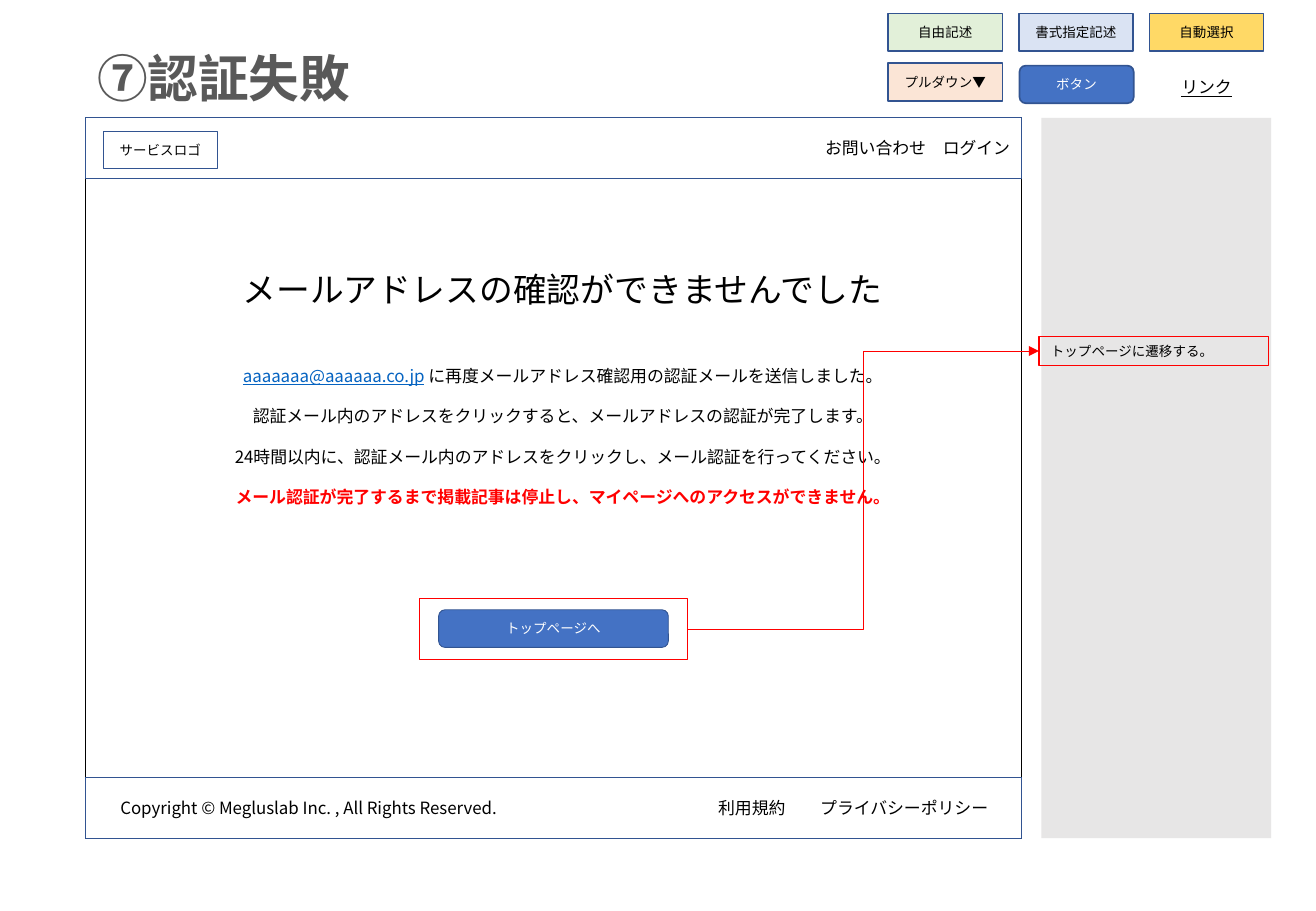
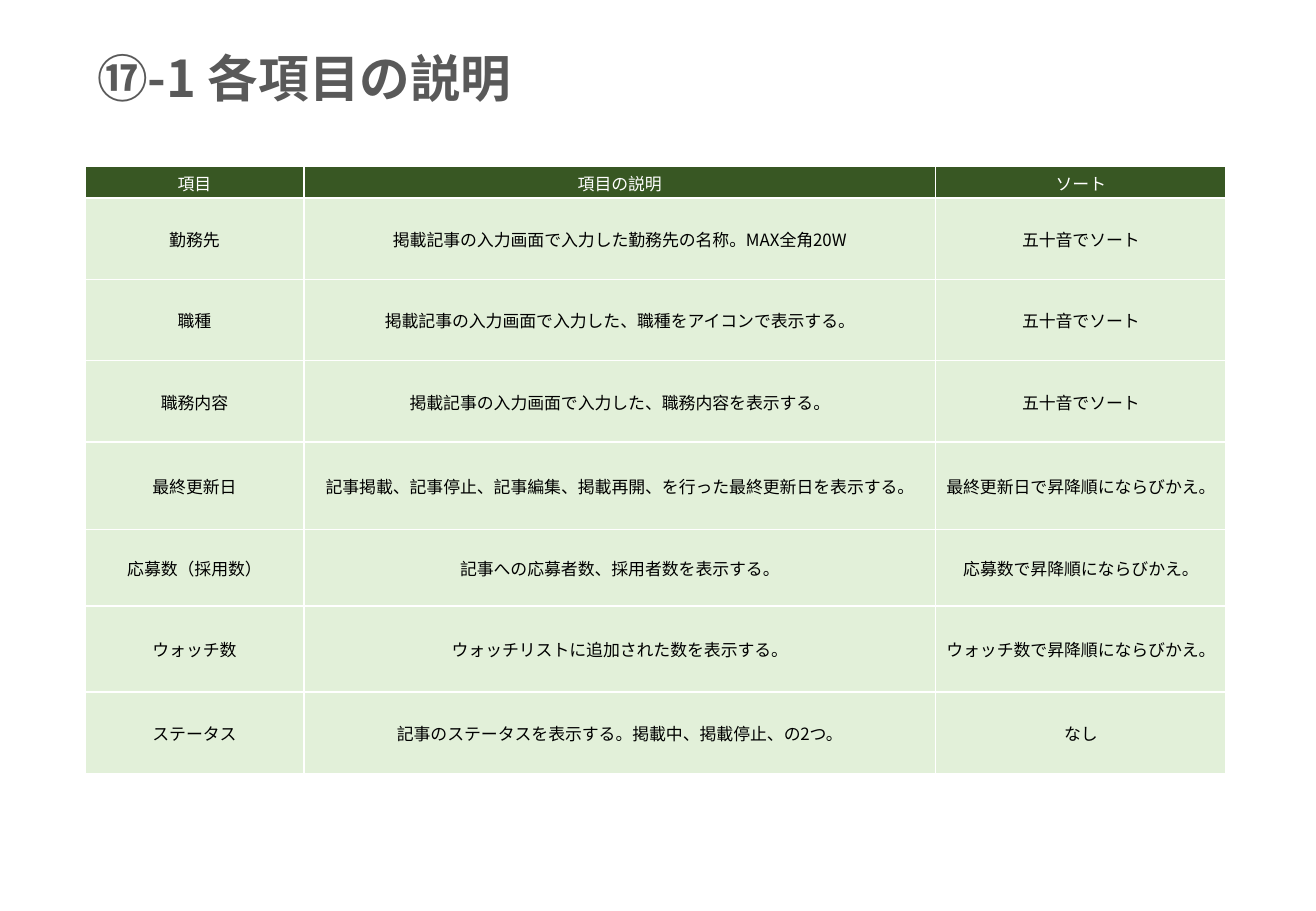
"""Builds two wireframe specification slides: a failed verification page and an item table."""
from lxml import etree
from pptx import Presentation
from pptx.dml.color import RGBColor
from pptx.enum.shapes import MSO_CONNECTOR, MSO_SHAPE
from pptx.enum.text import MSO_ANCHOR, PP_ALIGN
from pptx.oxml.ns import qn
from pptx.util import Inches, Pt

RECTANGLE, ROUNDED = MSO_SHAPE.RECTANGLE, MSO_SHAPE.ROUNDED_RECTANGLE
ELBOW = MSO_CONNECTOR.ELBOW
LEFT, CENTER, RIGHT = PP_ALIGN.LEFT, PP_ALIGN.CENTER, PP_ALIGN.RIGHT
TOP, MIDDLE = MSO_ANCHOR.TOP, MSO_ANCHOR.MIDDLE

BLACK = RGBColor(0x00, 0x00, 0x00)
WHITE = RGBColor(0xFF, 0xFF, 0xFF)
RED = RGBColor(0xFF, 0x00, 0x00)
TITLE_GRAY = RGBColor(0x59, 0x59, 0x59)
PANEL_GRAY = RGBColor(0xE7, 0xE6, 0xE6)
BLUE = RGBColor(0x44, 0x72, 0xC4)
BORDER_BLUE = RGBColor(0x32, 0x54, 0x91)
LINK_BLUE = RGBColor(0x05, 0x63, 0xC1)
PALE_BLUE = RGBColor(0xDA, 0xE3, 0xF3)
PALE_GREEN = RGBColor(0xE2, 0xF0, 0xD9)
DARK_GREEN = RGBColor(0x38, 0x57, 0x23)
PALE_ORANGE = RGBColor(0xFB, 0xE5, 0xD6)
YELLOW = RGBColor(0xFF, 0xD9, 0x66)

FONT = "Noto Sans CJK JP"
CELL = Inches(0.1)
SLIDE_COLUMNS, SLIDE_ROWS = 108.3, 75
PAGE_LEFT, PAGE_TOP, PAGE_WIDTH, PAGE_HEIGHT = 7, 9.7, 77.1, 59.3
BAR_HEIGHT = 5
KEY_WIDTH, KEY_HEIGHT = 9.4, 3.1
KEY_LEFT, KEY_TOP, KEY_STEP, KEY_ROW_STEP = 73.1, 1.1, 10.75, 4.1

KEYS = [
    ("自由記述", PALE_GREEN, 0, 0),
    ("書式指定記述", PALE_BLUE, 1, 0),
    ("自動選択", YELLOW, 2, 0),
    ("プルダウン▼", PALE_ORANGE, 0, 1),
]
MESSAGES = [
    "認証メール内のアドレスをクリックすると、メールアドレスの認証が完了します。",
    "24時間以内に、認証メール内のアドレスをクリックし、メール認証を行ってください。",
    "メール認証が完了するまで掲載記事は停止し、マイページへのアクセスができません。",
]
ITEM_COLUMNS = [18, 52, 23.9]
ITEM_ROWS = [2.6, 6.7, 6.7, 6.7, 7.2, 6.3, 7.1, 6.7]
ITEMS = [
    ("項目", "項目の説明", "ソート"),
    ("勤務先", "掲載記事の入力画面で入力した勤務先の名称。MAX全角20W", "五十音でソート"),
    ("職種", "掲載記事の入力画面で入力した、職種をアイコンで表示する。", "五十音でソート"),
    ("職務内容", "掲載記事の入力画面で入力した、職務内容を表示する。", "五十音でソート"),
    ("最終更新日", "記事掲載、記事停止、記事編集、掲載再開、を行った最終更新日を表示する。",
     "最終更新日で昇降順にならびかえ。"),
    ("応募数（採用数）", "記事への応募者数、採用者数を表示する。", "応募数で昇降順にならびかえ。"),
    ("ウォッチ数", "ウォッチリストに追加された数を表示する。", "ウォッチ数で昇降順にならびかえ。"),
    ("ステータス", "記事のステータスを表示する。掲載中、掲載停止、の2つ。", "なし"),
]


def grid(*lengths):
    """Turns grid columns or rows into slide lengths."""
    return [round(length * CELL) for length in lengths]


class Deck:
    """Holds the shared style and the current slide."""

    def __init__(self):
        """Starts an empty presentation."""
        self.presentation = Presentation()
        self.presentation.slide_width, self.presentation.slide_height = grid(SLIDE_COLUMNS, SLIDE_ROWS)
        self.slide = None

    def add_slide(self, title):
        """Adds a blank slide with the shared title."""
        self.slide = self.presentation.slides.add_slide(self.presentation.slide_layouts[6])
        self.text(title, (7, 3.6, 93.9, 6.1), 30, TITLE_GRAY, LEFT, bold=True, line_spacing=0.9)

    def style(self, paragraph, size, color, align=CENTER, bold=None, underline=None):
        """Sets alignment and font of a whole paragraph."""
        paragraph.alignment = align
        font = paragraph.font
        font.name, font.size, font.bold, font.underline = FONT, Pt(size), bold, underline
        font.color.rgb = color
        defaults = paragraph._p.get_or_add_pPr().find(qn("a:defRPr"))
        etree.SubElement(defaults, qn("a:ea")).set("typeface", FONT)

    def text(self, text, box, size, color=BLACK, align=CENTER, bold=None, underline=None, line_spacing=None):
        """Adds a one-line text box and returns its paragraph."""
        frame = self.slide.shapes.add_textbox(*grid(*box)).text_frame
        frame.word_wrap = True
        frame.vertical_anchor = MIDDLE
        paragraph = frame.paragraphs[0]
        paragraph.text = text
        paragraph.line_spacing = line_spacing
        self.style(paragraph, size, color, align, bold, underline)

    def messages(self, address, first, others, box):
        """Adds the message lines, led by an address and closed by a warning."""
        frame = self.slide.shapes.add_textbox(*grid(*box)).text_frame
        frame.word_wrap = True
        frame.vertical_anchor = TOP
        paragraph = frame.paragraphs[0]
        link = paragraph.add_run()
        link.text = address
        link.font.underline = True
        link.font.color.rgb = LINK_BLUE
        paragraph.add_run().text = first
        for message in others:
            paragraph = frame.add_paragraph()
            paragraph.text = message
            paragraph.space_before = Pt(12)
        for paragraph in frame.paragraphs:
            warning = paragraph.text == others[-1]
            paragraph.line_spacing = Pt(12)
            self.style(paragraph, 10, RED if warning else BLACK, bold=warning)

    def shape(self, box, text="", fill=None, line=None, weight=0.5, kind=RECTANGLE,
              size=8, color=BLACK, align=CENTER, inset=1, tabs=()):
        """Adds a preset shape with optional text and tab stops."""
        shape = self.slide.shapes.add_shape(kind, *grid(*box))
        shape.shadow.inherit = False
        if fill is None:
            shape.fill.background()
        else:
            shape.fill.solid()
            shape.fill.fore_color.rgb = fill
        if line is None:
            shape.line.fill.background()
        else:
            shape.line.color.rgb = line
            shape.line.width = Pt(weight)
        if text:
            frame = shape.text_frame
            frame.word_wrap = True
            frame.vertical_anchor = MIDDLE
            frame.margin_left = grid(inset)[0]
            paragraph = frame.paragraphs[0]
            paragraph.text = text
            if tabs:
                stops = etree.SubElement(paragraph._p.get_or_add_pPr(), qn("a:tabLst"))
                for position in grid(*tabs):
                    etree.SubElement(stops, qn("a:tab"), pos=str(position), algn="l")
            self.style(paragraph, size, color, align)
        return shape

    def button(self, text, box, weight):
        """Adds a rounded blue button."""
        self.shape(box, text, BLUE, BORDER_BLUE, weight, ROUNDED, color=WHITE)

    def arrow(self, source, target):
        """Joins the right side of one shape to the left side of another."""
        connector = self.slide.shapes.add_connector(ELBOW, 0, 0, 0, 0)
        connector.begin_connect(source, 3)
        connector.end_connect(target, 1)
        connector.line.color.rgb = RED
        connector.line.width = Pt(0.5)
        etree.SubElement(connector.line._get_or_add_ln(), qn("a:tailEnd"), type="triangle")
        etree.SubElement(connector._element.spPr, qn("a:effectLst"))

    def table(self, rows, left, top, widths, heights):
        """Adds a centred table with a dark heading row."""
        box = grid(left, top, sum(widths), sum(heights))
        table = self.slide.shapes.add_table(len(rows), len(widths), *box).table
        table.horz_banding = False
        for column, width in zip(table.columns, grid(*widths)):
            column.width = width
        for row, height, texts in zip(table.rows, grid(*heights), rows):
            row.height = height
            heading = texts == rows[0]
            for cell, text in zip(row.cells, texts):
                cell.margin_left = cell.margin_top = cell.margin_right = Inches(0.01)
                cell.margin_bottom = 0
                cell.vertical_anchor = MIDDLE
                self.borders(cell)
                cell.fill.solid()
                cell.fill.fore_color.rgb = DARK_GREEN if heading else PALE_GREEN
                paragraph = cell.text_frame.paragraphs[0]
                paragraph.text = text
                self.style(paragraph, 10, WHITE if heading else BLACK, bold=False)

    def borders(self, cell):
        """Draws thin white lines on all sides of a cell."""
        properties = cell._tc.get_or_add_tcPr()
        for side in ("a:lnL", "a:lnR", "a:lnT", "a:lnB"):
            line = etree.SubElement(properties, qn(side), w=str(Pt(1)))
            fill = etree.SubElement(line, qn("a:solidFill"))
            etree.SubElement(fill, qn("a:srgbClr"), val=str(WHITE))


def build_failure_slide(deck):
    """Builds the failed verification page with its legend and callout."""
    deck.add_slide("⑦認証失敗")
    deck.shape((85.7, PAGE_TOP, 18.9, PAGE_HEIGHT), fill=PANEL_GRAY)
    deck.shape((PAGE_LEFT, PAGE_TOP, PAGE_WIDTH, PAGE_HEIGHT), line=BLACK)
    deck.messages("aaaaaaa@aaaaaa.co.jp", " に再度メールアドレス確認用の認証メールを送信しました。",
                  MESSAGES, (14.8, 29.6, 63, 12.8))
    for text, fill, column, row in KEYS:
        left, top = KEY_LEFT + column * KEY_STEP, KEY_TOP + row * KEY_ROW_STEP
        deck.shape((left, top, KEY_WIDTH, KEY_HEIGHT), text, fill, BORDER_BLUE, 1)
    deck.button("ボタン", (83.9, 5.4, KEY_WIDTH, KEY_HEIGHT), 1)
    deck.text("リンク", (94.6, 5.8, KEY_WIDTH, 2.7), 10, underline=True)
    deck.button("トップページへ", (36.1, 50.2, 18.9, KEY_HEIGHT), 0.5)
    button_frame = deck.shape((34.5, 49.3, 22.1, 5), line=RED)
    callout = deck.shape((85.5, 27.7, 18.9, 2.4), "トップページに遷移する。", line=RED, weight=0.75, align=LEFT)
    deck.arrow(button_frame, callout)
    deck.text("メールアドレスの確認ができませんでした", (14.8, 21.8, 63, 4.4), 20, line_spacing=0.9)
    deck.shape((PAGE_LEFT, PAGE_TOP, PAGE_WIDTH, BAR_HEIGHT), "お問い合わせ　ログイン",
               line=BORDER_BLUE, size=10, align=RIGHT)
    deck.shape((8.5, 10.8, KEY_WIDTH, KEY_HEIGHT), "サービスロゴ", line=BORDER_BLUE)
    deck.shape((PAGE_LEFT, PAGE_TOP + PAGE_HEIGHT - BAR_HEIGHT, PAGE_WIDTH, BAR_HEIGHT),
               "Copyright © Megluslab Inc. , All Rights Reserved.\t利用規約\tプライバシーポリシー",
               line=BORDER_BLUE, size=10, align=LEFT, inset=2.9, tabs=(49.2, 57.6))


def main():
    """Builds and saves both slides."""
    deck = Deck()
    build_failure_slide(deck)
    deck.add_slide("⑰-1 各項目の説明")
    deck.table(ITEMS, 7, 13.7, ITEM_COLUMNS, ITEM_ROWS)
    deck.presentation.save("out.pptx")


if __name__ == "__main__":
    main()
